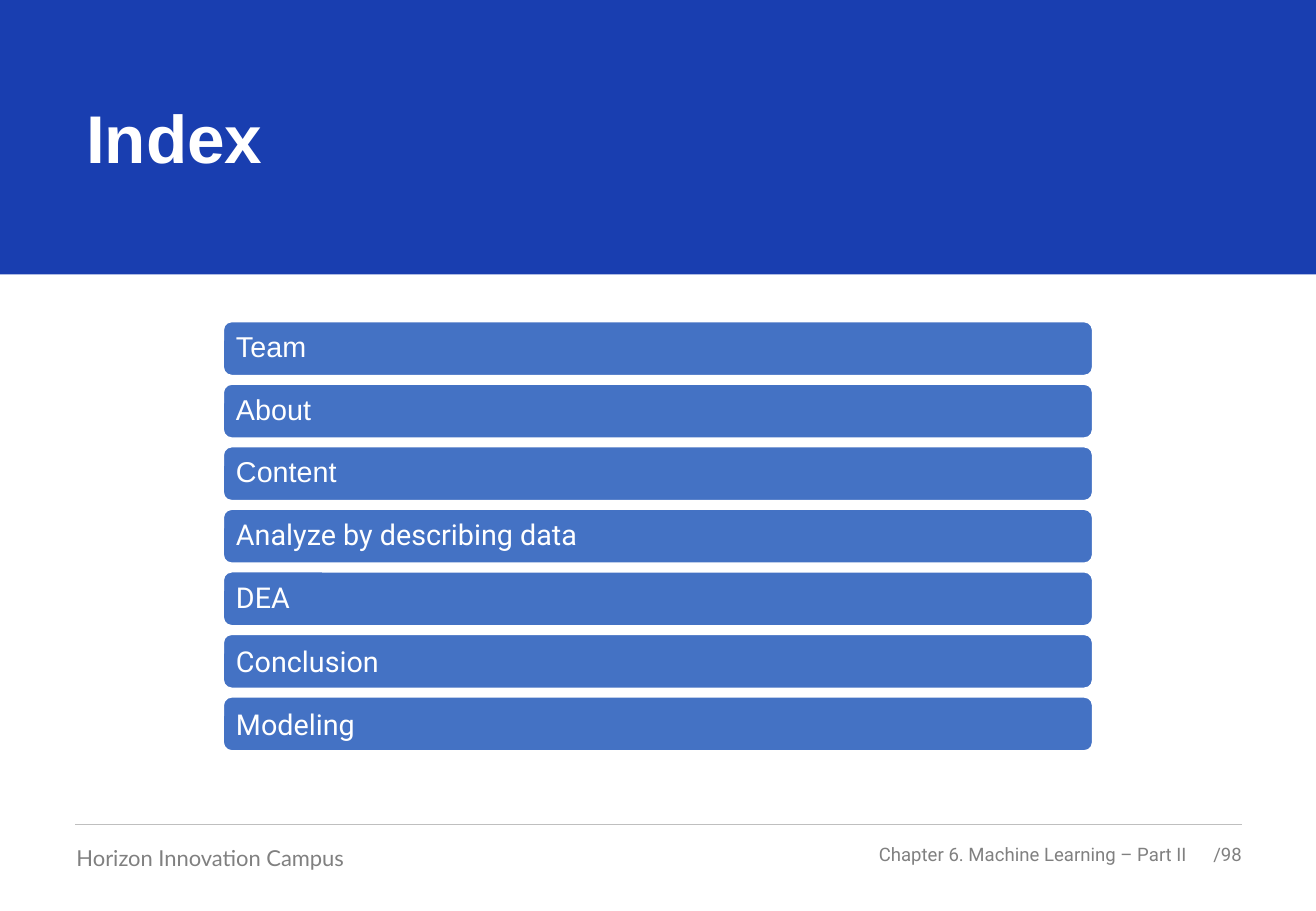
import pptx
import pptx.util
import pptx.dml.color
import pptx.enum.shapes
import pptx.enum.text
import pptx.oxml
from pptx.util import Inches

TITLE = "Index"
TOPICS = [
    ("Team", "Arial", 0.9),
    ("About", "Arial", 0.9),
    ("Content", "Arial", 0.9),
    ("Analyze by describing data", "Roboto", 0.9),
    ("DEA", "Roboto", 0.9),
    ("Conclusion", "Roboto", 1.0),
    ("Modeling", "Roboto", 1.0),
]
LEFT = pptx.enum.text.PP_ALIGN.LEFT
RIGHT = pptx.enum.text.PP_ALIGN.RIGHT
FOOTERS = [
    ("Horizon Innovation Campus", "Lato", 13, LEFT, (0.63, 6.95, 3.16, 0.22)),
    ("Chapter 6. Machine Learning – Part II", "Roboto", 11, RIGHT, (6.95, 6.94, 2.82, 0.18)),
    ("/98", "Roboto", 11, RIGHT, (9.63, 6.85, 0.59, 0.37)),
]
SLIDE_WIDTH, SLIDE_HEIGHT = 10.83, 7.5
BAND_HEIGHT = 2.26
BAR_LEFT, BAR_TOP, BAR_WIDTH, BAR_HEIGHT = 1.83, 2.64, 7.17, 0.46
BAR_STEP = 0.515
BAR_INSET = 0.09
RULE_LEFT, RULE_RIGHT, RULE_TOP = 0.62, 10.22, 6.79
MIDDLE = pptx.enum.text.MSO_ANCHOR.MIDDLE
SHAPES = pptx.enum.shapes.MSO_SHAPE


def color(value):
    return pptx.dml.color.RGBColor.from_string(value)


def write(shape, text, font_name, size, text_color, align=LEFT, inset=0, spacing=1.0, bold=False):
    frame = shape.text_frame
    frame.word_wrap = True
    frame.vertical_anchor = MIDDLE
    frame.margin_left = frame.margin_right = Inches(inset)
    frame.margin_top = frame.margin_bottom = Inches(0)
    para = frame.paragraphs[0]
    para.text = text
    para.alignment = align
    para.line_spacing = spacing
    para.font.name = font_name
    para.font.size = pptx.util.Pt(size)
    para.font.bold = bold
    para.font.color.rgb = color(text_color)


def add_block(page, kind, place, fill):
    block = page.shapes.add_shape(kind, *map(Inches, place))
    block.shadow.inherit = False
    block.fill.solid()
    block.fill.fore_color.rgb = color(fill)
    return block


def main():
    deck = pptx.Presentation()
    deck.slide_width = Inches(SLIDE_WIDTH)
    deck.slide_height = Inches(SLIDE_HEIGHT)
    page = deck.slides.add_slide(deck.slide_layouts.get_by_name("Title Only"))

    band = add_block(page, SHAPES.RECTANGLE, (0, 0, SLIDE_WIDTH, BAND_HEIGHT), "193EB0")
    band.line.fill.background()
    title = page.shapes.title
    title.element.addprevious(band.element)
    title.left, title.top, title.width, title.height = map(Inches, (0.71, 0.54, 9.74, 1.25))
    write(title, TITLE, "Arial", 40, "FFFFFF", spacing=0.9, bold=True)

    for index, (topic, font_name, spacing) in enumerate(TOPICS):
        place = (BAR_LEFT, BAR_TOP + index * BAR_STEP, BAR_WIDTH, BAR_HEIGHT)
        bar = add_block(page, SHAPES.ROUNDED_RECTANGLE, place, "4472C4")
        bar.line.color.rgb = color("FFFFFF")
        bar.line.width = pptx.util.Pt(2)
        write(bar, topic, font_name, 17, "FFFFFF", inset=BAR_INSET, spacing=spacing)

    rule = page.shapes.add_connector(
        pptx.enum.shapes.MSO_CONNECTOR.STRAIGHT,
        Inches(RULE_LEFT), Inches(RULE_TOP), Inches(RULE_RIGHT), Inches(RULE_TOP),
    )
    rule.line.color.rgb = color("BFBFBF")
    rule.line.width = pptx.util.Pt(0.75)
    rule.element.spPr.append(pptx.oxml.parse_xml(
        '<a:effectLst xmlns:a="http://schemas.openxmlformats.org/drawingml/2006/main"/>'
    ))

    for text, font_name, size, align, place in FOOTERS:
        box = page.shapes.add_textbox(*map(Inches, place))
        write(box, text, font_name, size, "808080", align)

    deck.save("out.pptx")


if __name__ == "__main__":
    main()
